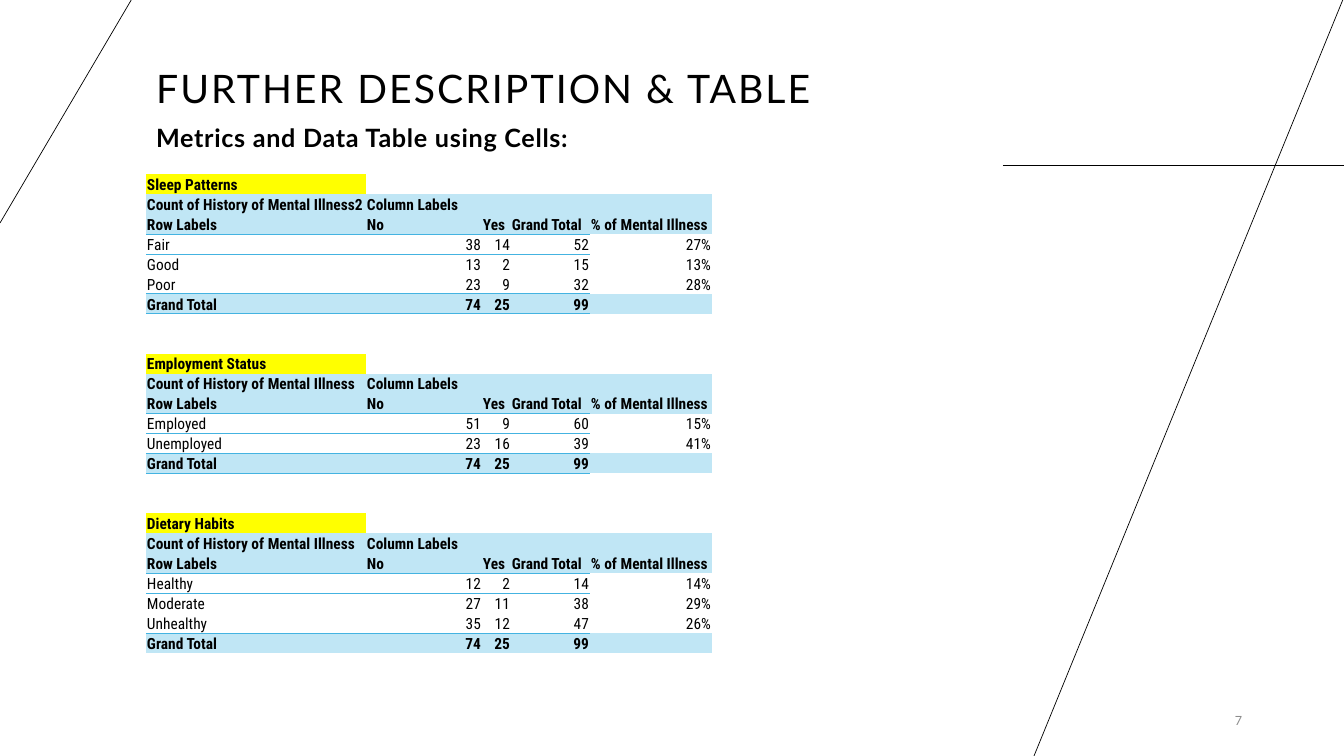
"""Build the slide with three survey count blocks in one table."""
from dataclasses import dataclass

from lxml import etree
from pptx import Presentation
from pptx.dml.color import RGBColor
from pptx.enum.shapes import MSO_CONNECTOR
from pptx.enum.text import MSO_ANCHOR, MSO_AUTO_SIZE, PP_ALIGN
from pptx.oxml.ns import qn
from pptx.util import Pt

LEFT, RIGHT = PP_ALIGN.LEFT, PP_ALIGN.RIGHT
TOP, MID, LOW = MSO_ANCHOR.TOP, MSO_ANCHOR.MIDDLE, MSO_ANCHOR.BOTTOM
FIXED = MSO_AUTO_SIZE.NONE
LINE = MSO_CONNECTOR.STRAIGHT

TITLE = "FURTHER DESCRIPTION & TABLE"
LEAD = "Metrics and Data Table using Cells:"
PAGE = "7"
COUNT = "Count of History of Mental Illness"
HEADS = ["Row Labels", "No", "Yes", "Grand Total", "% of Mental Illness"]
TOTAL = ["Grand Total", "74", "25", "99", ""]
BLOCKS = [
    ("Sleep Patterns", COUNT + "2", [
        ["Fair", "38", "14", "52", "27%"],
        ["Good", "13", "2", "15", "13%"],
        ["Poor", "23", "9", "32", "28%"],
    ]),
    ("Employment Status", COUNT, [
        ["Employed", "51", "9", "60", "15%"],
        ["Unemployed", "23", "16", "39", "41%"],
    ]),
    ("Dietary Habits", COUNT, [
        ["Healthy", "12", "2", "14", "14%"],
        ["Moderate", "27", "11", "38", "29%"],
        ["Unhealthy", "35", "12", "47", "26%"],
    ]),
]

SIZE = (1344, 756)
RULES = [
    (1003, 165, 1344, 165),
    (1344, -3, 1034, 756),
    (0, 223, 133, -3),
]
TITLE_BOX = (146, -117, 803, 234)
LEAD_BOX = (146, 117, 803, 376)
PAGE_BOX = (1143, 701, 109, 40)
GRID_AT = (146, 174)
COLS = [220, 116, 29, 79, 122]
ROW = 20
GAP = 2
SCALE = 914400 / 100.8
NO_STYLE = "{2D5ABB26-0587-4C30-8999-92F81FD0307C}"


@dataclass(frozen=True)
class Theme:
    ink: str = "000000"
    grey: str = "8C8C8C"
    mark: str = "FFFF00"
    band: str = "C0E6F5"
    edge: str = "44B3E1"
    main: str = "Lato"
    slim: str = "Roboto Condensed"
    title: int = 28
    lead: int = 18
    cell: int = 11
    page: int = 9
    rule: float = 0.5


LOOK = Theme()


def emu(*vals):
    return [round(v * SCALE) for v in vals]


def place(shape, box):
    shape.left, shape.top, shape.width, shape.height = emu(*box)


def put(frame, text, size, font=LOOK.main, color=LOOK.ink, bold=False,
        align=LEFT, anchor=TOP, gap=0, lead=1.0, track=0):
    frame.word_wrap = True
    frame.vertical_anchor = anchor
    para = frame.paragraphs[0]
    para.alignment = align
    para.space_before = Pt(gap)
    para.line_spacing = lead
    if not text:
        etree.SubElement(para._p, qn("a:endParaRPr"), sz=str(size * 100))
        return para
    run = para.add_run()
    run.text = text
    run.font.size = Pt(size)
    run.font.name = font
    run.font.bold = bold
    run.font.color.rgb = RGBColor.from_string(color)
    if track:
        run._r.get_or_add_rPr().set("spc", str(round(track * 100)))
    return para


def edge(cell, side):
    props = cell._tc.get_or_add_tcPr()
    line = etree.SubElement(props, qn("a:ln" + side), w=str(Pt(LOOK.rule)))
    fill = etree.SubElement(line, qn("a:solidFill"))
    etree.SubElement(fill, qn("a:srgbClr"), val=LOOK.edge)


def draw_rule(slide, ends):
    rule = slide.shapes.add_connector(LINE, *emu(*ends))
    rule.line.color.rgb = RGBColor.from_string(LOOK.ink)
    rule.line.width = Pt(LOOK.rule)
    etree.SubElement(rule._element.spPr, qn("a:effectLst"))


def list_rows():
    """Return (kind, texts, edge sides) for each table row."""
    rows = []
    for name, count, data in BLOCKS:
        if rows:
            rows += [("gap", [""] * len(COLS), "")] * GAP
        rows.append(("name", [name, "", "", "", ""], ""))
        rows.append(("head", [count, "Column Labels", "", "", ""], ""))
        rows.append(("head", HEADS, "B"))
        for i, texts in enumerate(data):
            sides = "T" * (i == 0) + "B" * (i == len(data) - 1)
            rows.append(("data", texts, sides))
        rows.append(("total", TOTAL, "T"))
    return rows


def fill_cell(cell, kind, col, text, sides):
    cell.margin_left = cell.margin_right = cell.margin_top = emu(1)[0]
    cell.margin_bottom = 0
    cell.vertical_anchor = LOW
    number = kind in ("data", "total") and col > 0
    put(cell.text_frame, text, LOOK.cell, font=LOOK.slim,
        bold=kind != "data", align=RIGHT if number else LEFT)
    if col < len(COLS) - 1:
        for side in sides:
            edge(cell, side)
    if kind in ("head", "total"):
        tint = LOOK.band
    elif kind == "name" and col == 0:
        tint = LOOK.mark
    else:
        cell.fill.background()
        return
    cell.fill.solid()
    cell.fill.fore_color.rgb = RGBColor.from_string(tint)


def draw_grid(slide):
    rows = list_rows()
    box = emu(*GRID_AT, sum(COLS), ROW * len(rows))
    frame = slide.shapes.add_table(len(rows), len(COLS), *box)
    grid = frame.table
    grid.first_row = grid.horz_banding = False
    next(frame._element.iter(qn("a:tableStyleId"))).text = NO_STYLE
    for col, width in zip(grid.columns, COLS):
        col.width = emu(width)[0]
    for r, (kind, texts, sides) in enumerate(rows):
        grid.rows[r].height = emu(ROW)[0]
        for c, text in enumerate(texts):
            fill_cell(grid.cell(r, c), kind, c, text, sides)


def main():
    deck = Presentation()
    deck.slide_width, deck.slide_height = emu(*SIZE)
    slide = deck.slides.add_slide(deck.slide_layouts[1])
    for ends in RULES:
        draw_rule(slide, ends)
    title, body = slide.placeholders
    for shape, box in ((title, TITLE_BOX), (body, LEAD_BOX)):
        place(shape, box)
        shape.text_frame.auto_size = FIXED
    put(title.text_frame, TITLE, LOOK.title, anchor=LOW, lead=0.9, track=1.5)
    para = put(body.text_frame, LEAD, LOOK.lead, bold=True, gap=10, track=0.5)
    props = para._p.get_or_add_pPr()
    props.set("marL", "0")
    props.set("indent", "0")
    etree.SubElement(props, qn("a:buNone"))
    page = slide.shapes.add_textbox(*emu(*PAGE_BOX))
    put(page.text_frame, PAGE, LOOK.page, color=LOOK.grey,
        align=RIGHT, anchor=MID)
    draw_grid(slide)
    deck.save("out.pptx")


if __name__ == "__main__":
    main()
